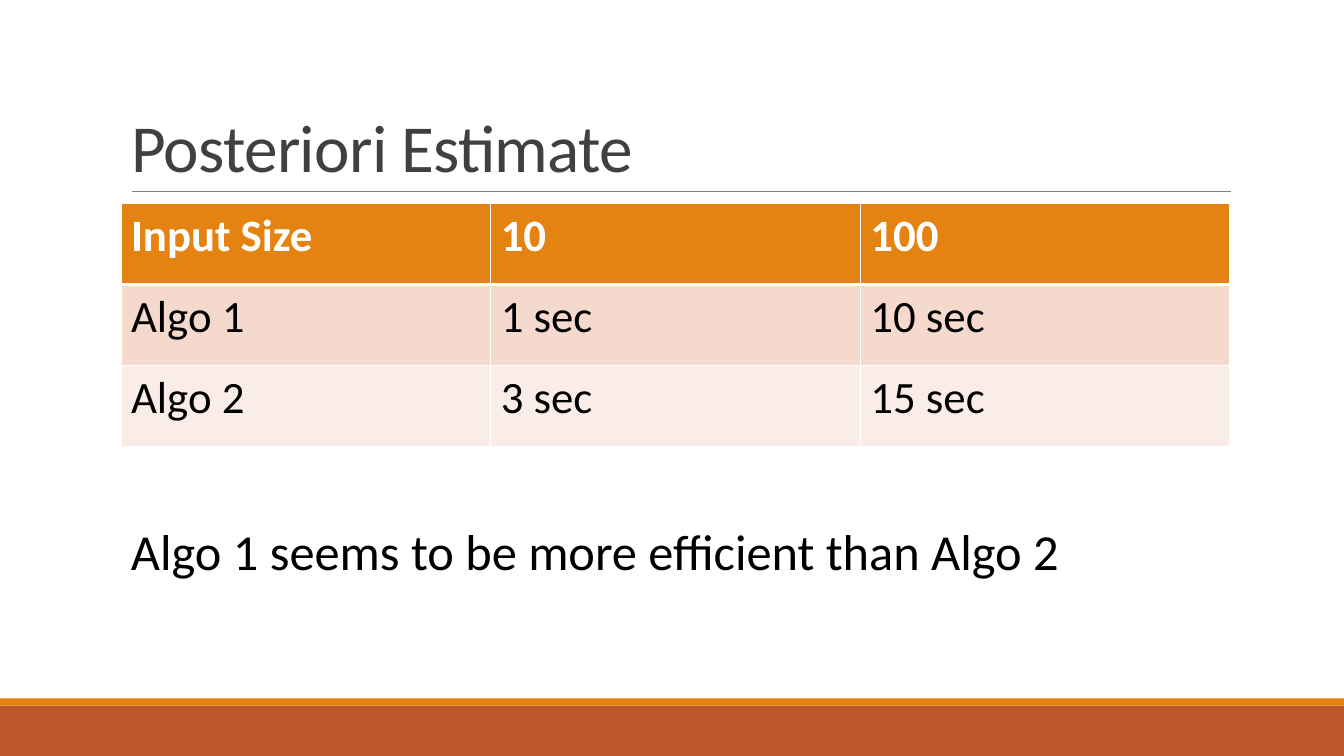
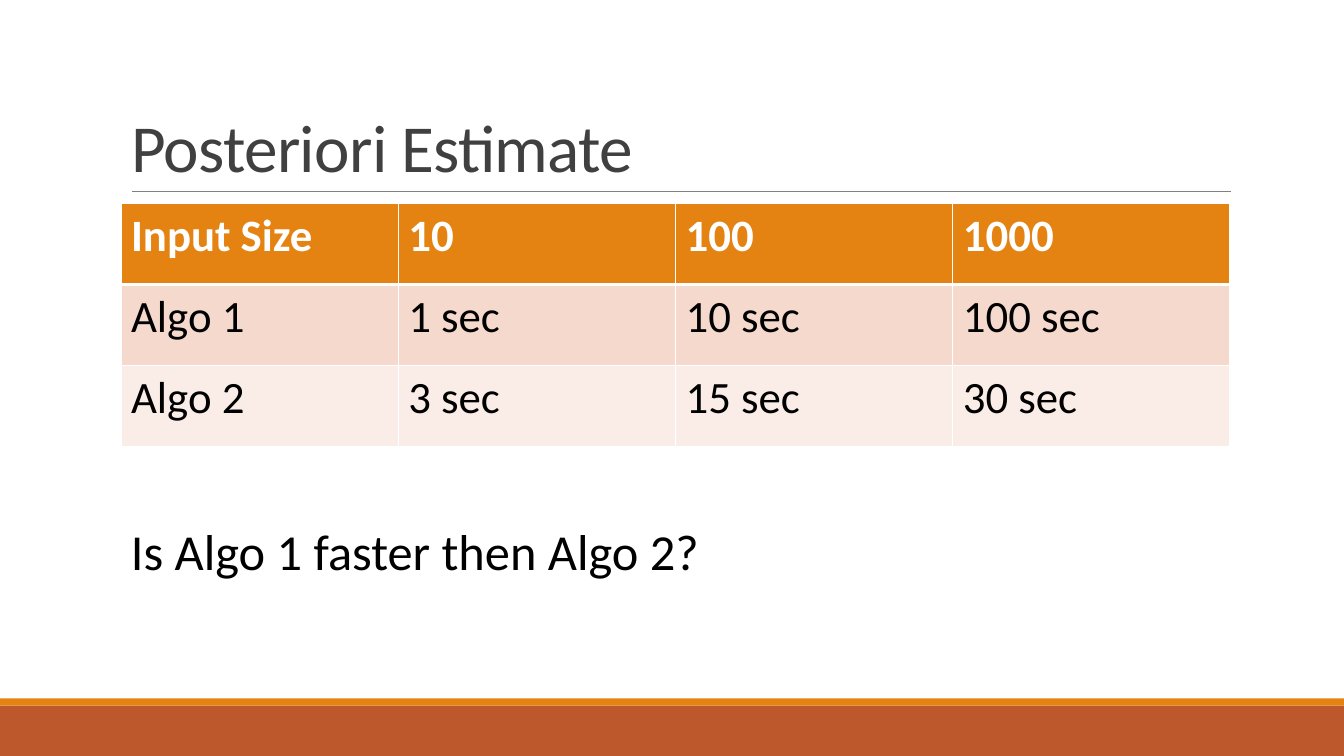
from lxml.etree import SubElement as Sub
from pptx import Presentation
from pptx.dml.color import RGBColor as RGB
from pptx.enum.shapes import MSO_CONNECTOR as Conn, MSO_SHAPE as Form
from pptx.enum.text import MSO_ANCHOR as Anchor, MSO_AUTO_SIZE as Fit, PP_ALIGN as Align
from pptx.oxml.ns import qn
from pptx.util import Inches, Pt

WHITE = RGB(0xFF, 0xFF, 0xFF)
BLACK = RGB(0x00, 0x00, 0x00)
DARK = RGB(0x40, 0x40, 0x40)
GRAY = RGB(0x80, 0x80, 0x80)
AMBER = RGB(0xE4, 0x83, 0x12)
RUST = RGB(0xBD, 0x58, 0x2C)
ROSE = RGB(0xF5, 0xD9, 0xCC)
BLUSH = RGB(0xFA, 0xED, 0xE7)

FONT = "Calibri"
WIDE, HIGH = 13.33, 7.5
LEFT, SPAN = 1.2, 11


def write(frame, text, size, color=BLACK, bold=False, space=None, track=None):
    para = frame.paragraphs[0]
    para.alignment = Align.LEFT
    if space:
        para.line_spacing = space
    run = para.add_run()
    run.text = text
    font = run.font
    font.name, font.size, font.bold = FONT, Pt(size), bold
    font.color.rgb = color
    if track:
        run._r.get_or_add_rPr().set("spc", str(round(track * 100)))


def edge(cell, side, width):
    line = Sub(cell._tc.get_or_add_tcPr(), qn("a:ln" + side), w=str(Pt(width)))
    fill = Sub(line, qn("a:solidFill"))
    Sub(fill, qn("a:srgbClr"), val=str(WHITE))


class Deck:
    def __init__(self):
        self.file = Presentation()
        self.file.slide_width = Inches(WIDE)
        self.file.slide_height = Inches(HIGH)
        self.slide = None

    def page(self, title):
        self.slide = self.file.slides.add_slide(self.file.slide_layouts[5])
        self.band(7, 0.5, RUST)
        self.band(6.93, 0.07, AMBER)
        self.rule(1.31, 12.21, 1.9)
        self.title(title)

    def band(self, top, tall, color):
        band = self.slide.shapes.add_shape(
            Form.RECTANGLE, 0, Inches(top), Inches(WIDE), Inches(tall))
        band.shadow.inherit = False
        band.fill.solid()
        band.fill.fore_color.rgb = color
        band.line.fill.background()

    def rule(self, start, end, top):
        rule = self.slide.shapes.add_connector(
            Conn.STRAIGHT, Inches(start), Inches(top), Inches(end), Inches(top))
        rule.line.color.rgb = GRAY
        rule.line.width = Pt(0.5)
        Sub(rule._element.spPr, qn("a:effectLst"))

    def title(self, text):
        head = self.slide.shapes.title
        head.left, head.top = Inches(LEFT), Inches(0.31)
        head.width, head.height = Inches(SPAN), Inches(1.59)
        frame = head.text_frame
        frame.word_wrap = True
        frame.auto_size = Fit.NONE
        frame.vertical_anchor = Anchor.BOTTOM
        write(frame, text, 48, color=DARK, space=0.85, track=-0.5)

    def table(self, rows):
        count = len(rows[0])
        grid = self.slide.shapes.add_table(
            len(rows), count, Inches(LEFT), Inches(2.02),
            Inches(SPAN), Inches(2.41)).table
        for col in grid.columns:
            col.width = Inches(SPAN / count)
        for r, row in enumerate(rows):
            fill = (AMBER, ROSE, BLUSH)[r]
            color = BLACK if r else WHITE
            for c, text in enumerate(row):
                cell = grid.cell(r, c)
                write(cell.text_frame, text, 32, color=color, bold=r == 0)
                for side in "LRTB":
                    thick = (r, side) in ((0, "B"), (1, "T"))
                    edge(cell, side, 3 if thick else 1)
                cell.fill.solid()
                cell.fill.fore_color.rgb = fill

    def note(self, text):
        box = self.slide.shapes.add_textbox(
            Inches(LEFT), Inches(5.11), Inches(10.88), Inches(0.71))
        frame = box.text_frame
        frame.word_wrap = True
        frame.auto_size = Fit.SHAPE_TO_FIT_TEXT
        write(frame, text, 36)


def main():
    rows = [
        ["Input Size", "10", "100", "1000"],
        ["Algo 1", "1 sec", "10 sec", "100 sec"],
        ["Algo 2", "3 sec", "15 sec", "30 sec"],
    ]
    deck = Deck()
    for count, note in (
        (3, "Algo 1 seems to be more efficient than Algo 2"),
        (4, "Is Algo 1 faster then Algo 2?"),
    ):
        deck.page("Posteriori Estimate")
        deck.table([row[:count] for row in rows])
        deck.note(note)
    deck.file.save("out.pptx")


if __name__ == "__main__":
    main()
